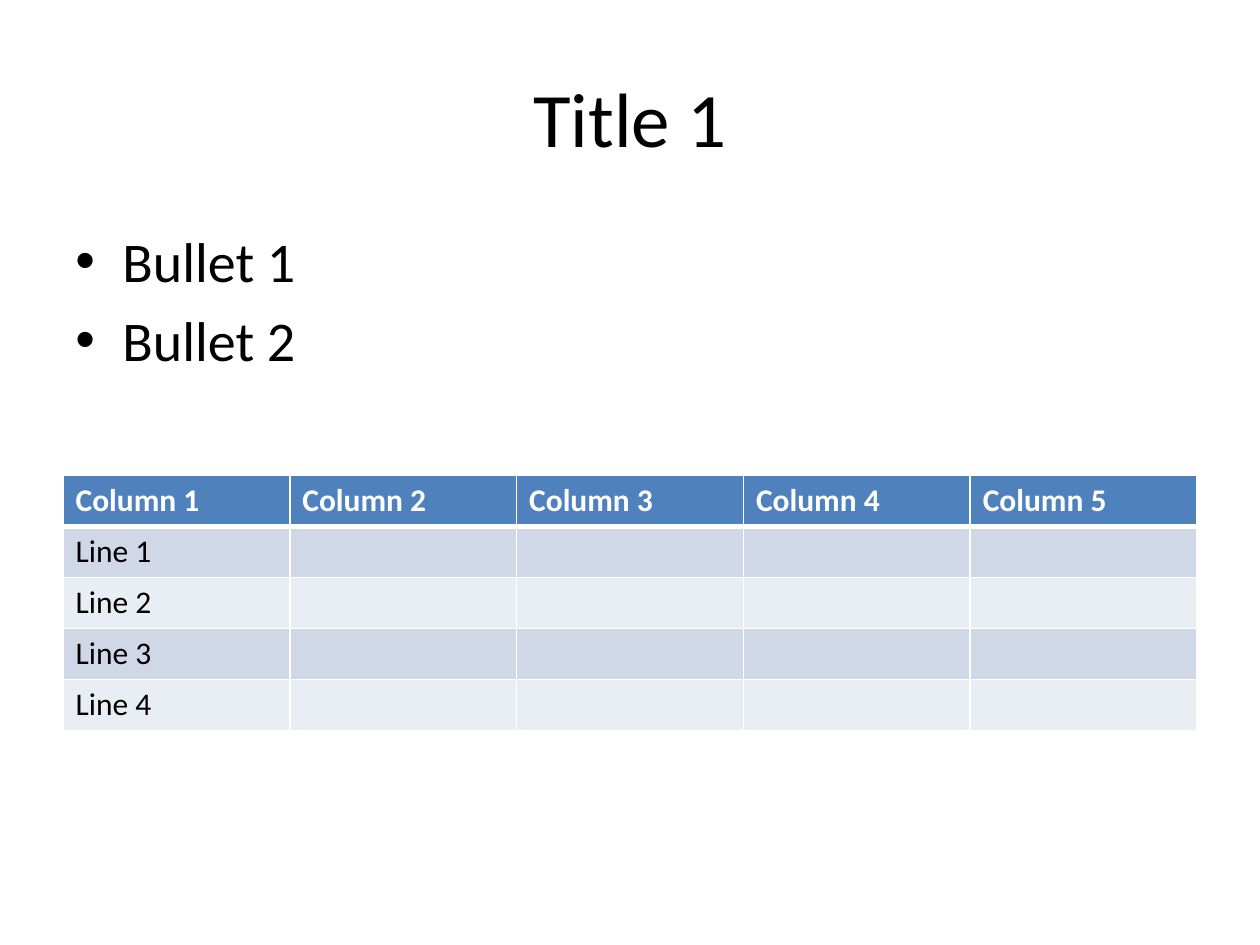
"""Build a slide with a title, two bullets and a banded table."""
from dataclasses import dataclass

from lxml.etree import SubElement
from pptx import Presentation
from pptx.dml.color import RGBColor as Color
from pptx.enum.text import MSO_ANCHOR as Anchor, PP_ALIGN as Align
from pptx.oxml.ns import qn
from pptx.util import Cm, Pt


@dataclass(frozen=True)
class Theme:
    """Colours, font and type sizes of the slide."""
    font: str = "Calibri"
    ink: str = "000000"
    paper: str = "FFFFFF"
    header: str = "4F81BD"
    bands: tuple = ("D0D8E8", "E9EDF4")
    title_size: int = 44
    bullet_size: int = 32
    table_size: int = 18
    thin: int = 1
    thick: int = 3


class Page:
    """Holds the theme and the current slide."""

    def __init__(self, slide, theme):
        """Keep the slide and its theme."""
        self.slide = slide
        self.theme = theme

    def style(self, para, size, color, bold=False):
        """Format every run of a paragraph."""
        for span in para.runs:
            span.font.name = self.theme.font
            span.font.size = Pt(size)
            span.font.bold = bold
            span.font.color.rgb = Color.from_string(color)

    def text_box(self, text, area, anchor):
        """Add a wrapping text box and return its frame."""
        box = self.slide.shapes.add_textbox(*map(Cm, area))
        frame = box.text_frame
        frame.word_wrap = True
        frame.vertical_anchor = anchor
        frame.text = text
        return frame

    def title(self, text, area):
        """Add the centred title."""
        para = self.text_box(text, area, Anchor.MIDDLE).paragraphs[0]
        para.alignment = Align.CENTER
        self.style(para, self.theme.title_size, self.theme.ink)

    def bullets(self, items, area, indent=0.95):
        """Add a bulleted list with hanging indents."""
        size = self.theme.bullet_size
        frame = self.text_box("\n".join(items), area, Anchor.TOP)
        for para in frame.paragraphs:
            para.space_before = Pt(size * 0.2)
            self.style(para, size, self.theme.ink)
            props = para._p.get_or_add_pPr()
            props.set("marL", str(Cm(indent)))
            props.set("indent", str(-Cm(indent)))
            SubElement(props, qn("a:buFont"), typeface="Arial")
            SubElement(props, qn("a:buChar"), char="•")

    def borders(self, cell, top, bottom):
        """Draw the four borders of a cell, widths in points."""
        props = cell._tc.get_or_add_tcPr()
        thin = self.theme.thin
        for side, width in zip("LRTB", (thin, thin, top, bottom)):
            line = SubElement(props, qn(f"a:ln{side}"), w=str(Pt(width)))
            fill = SubElement(line, qn("a:solidFill"))
            SubElement(fill, qn("a:srgbClr"), val=self.theme.paper)

    def table(self, headers, labels, area):
        """Add a table with a header row and labelled, banded rows."""
        theme = self.theme
        rows = [headers] + [[label] + [""] * (len(headers) - 1)
                            for label in labels]
        table = self.slide.shapes.add_table(
            len(rows), len(headers), *map(Cm, area)).table
        for r, row in enumerate(rows):
            is_header = r == 0
            fill = theme.header if is_header else theme.bands[(r - 1) % 2]
            ink = theme.paper if is_header else theme.ink
            top = theme.thick if r == 1 else theme.thin
            bottom = theme.thick if is_header else theme.thin
            for c, text in enumerate(row):
                cell = table.cell(r, c)
                cell.text = text
                self.style(cell.text_frame.paragraphs[0],
                           theme.table_size, ink, is_header)
                self.borders(cell, top, bottom)
                cell.fill.solid()
                cell.fill.fore_color.rgb = Color.from_string(fill)


def main():
    """Build and save the deck."""
    deck = Presentation()
    deck.slide_width, deck.slide_height = Cm(25.4), Cm(19.05)
    page = Page(deck.slides.add_slide(deck.slide_layouts[6]), Theme())
    left, width = 1.27, 22.86
    page.title("Title 1", (left, 0.76, width, 3.18))
    page.bullets([f"Bullet {n}" for n in (1, 2)],
                 (left, 4.45, width, 12.57))
    page.table([f"Column {n}" for n in range(1, 6)],
               [f"Line {n}" for n in range(1, 5)],
               (left, 9.58, width, 5.15))
    deck.save("out.pptx")


main()
